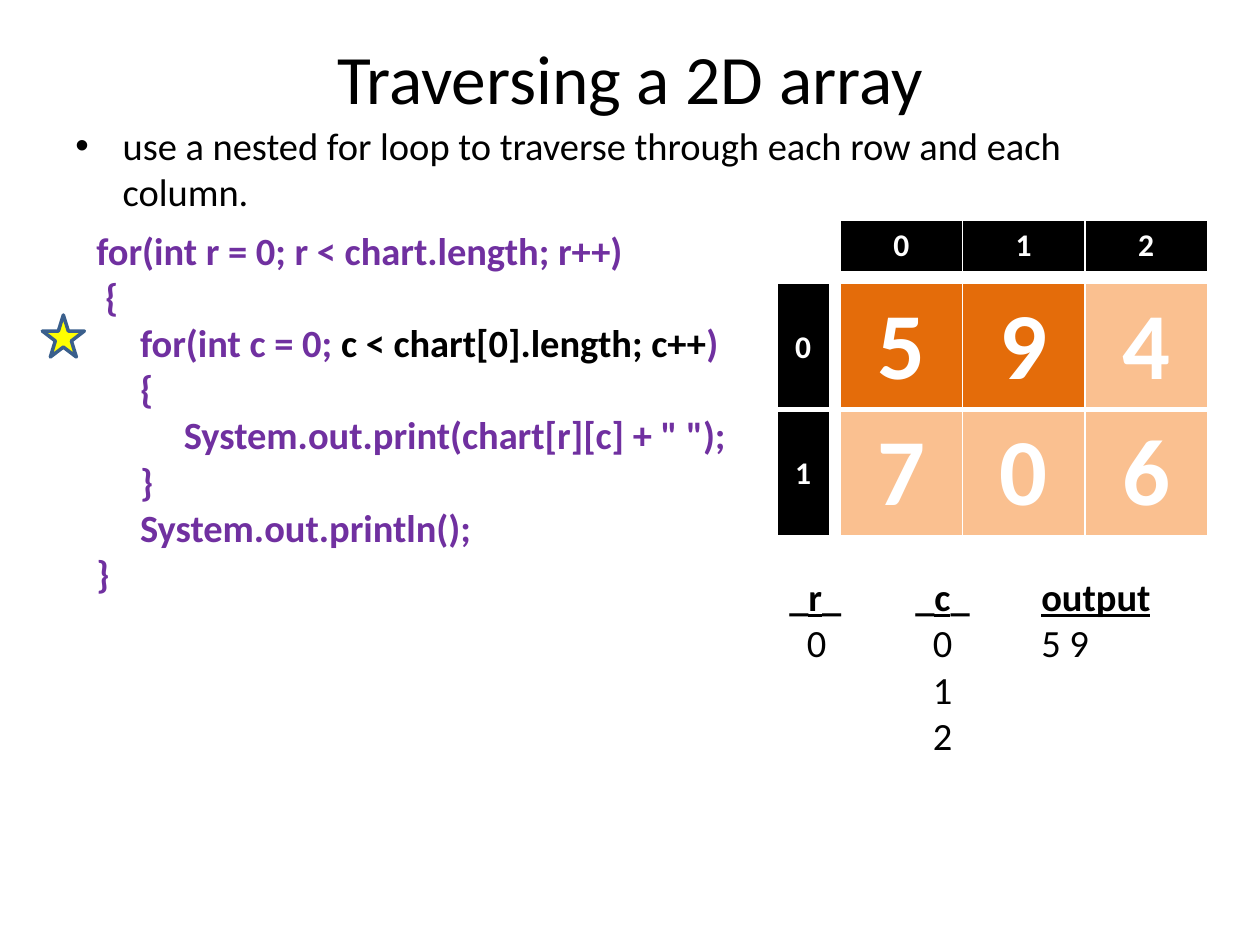
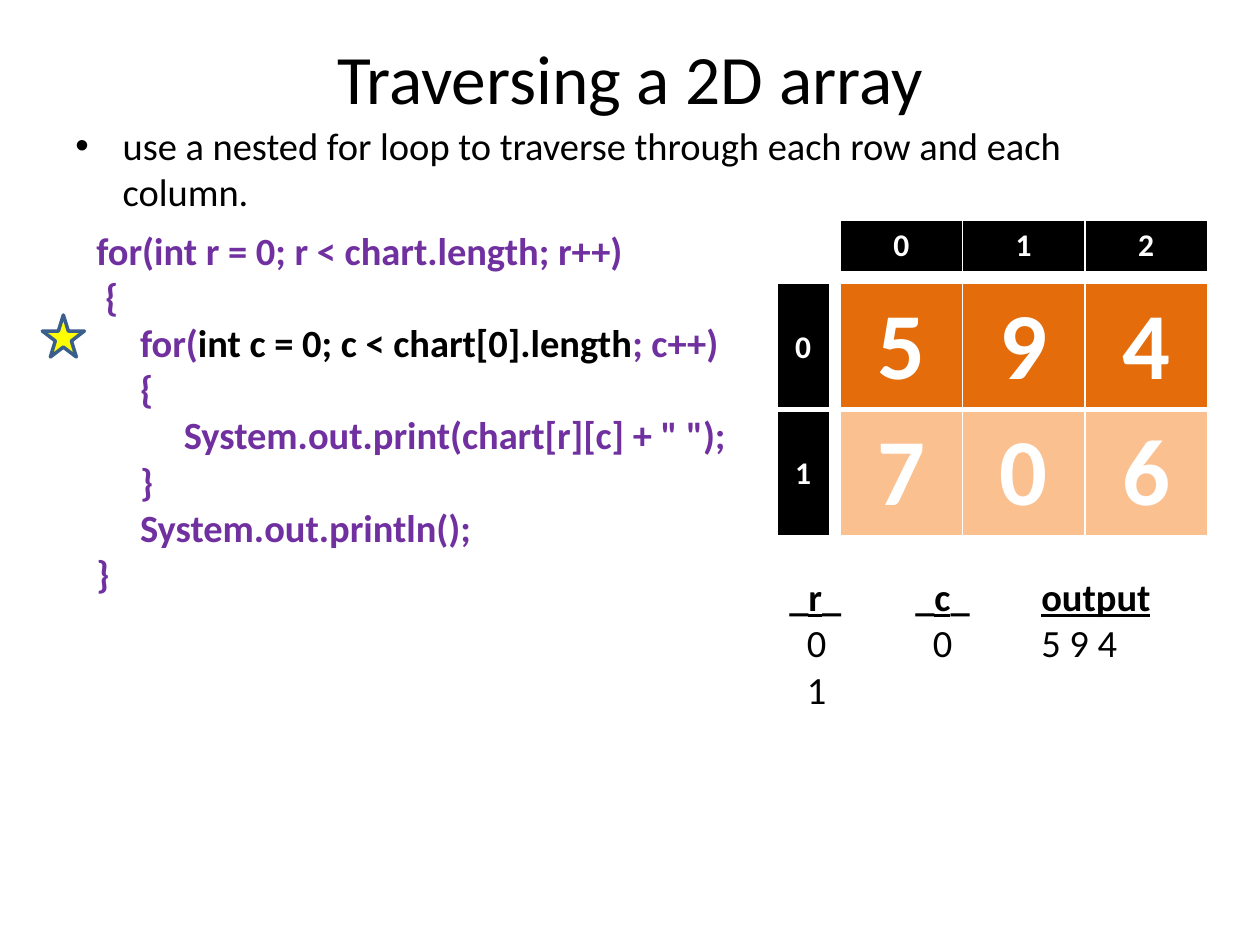
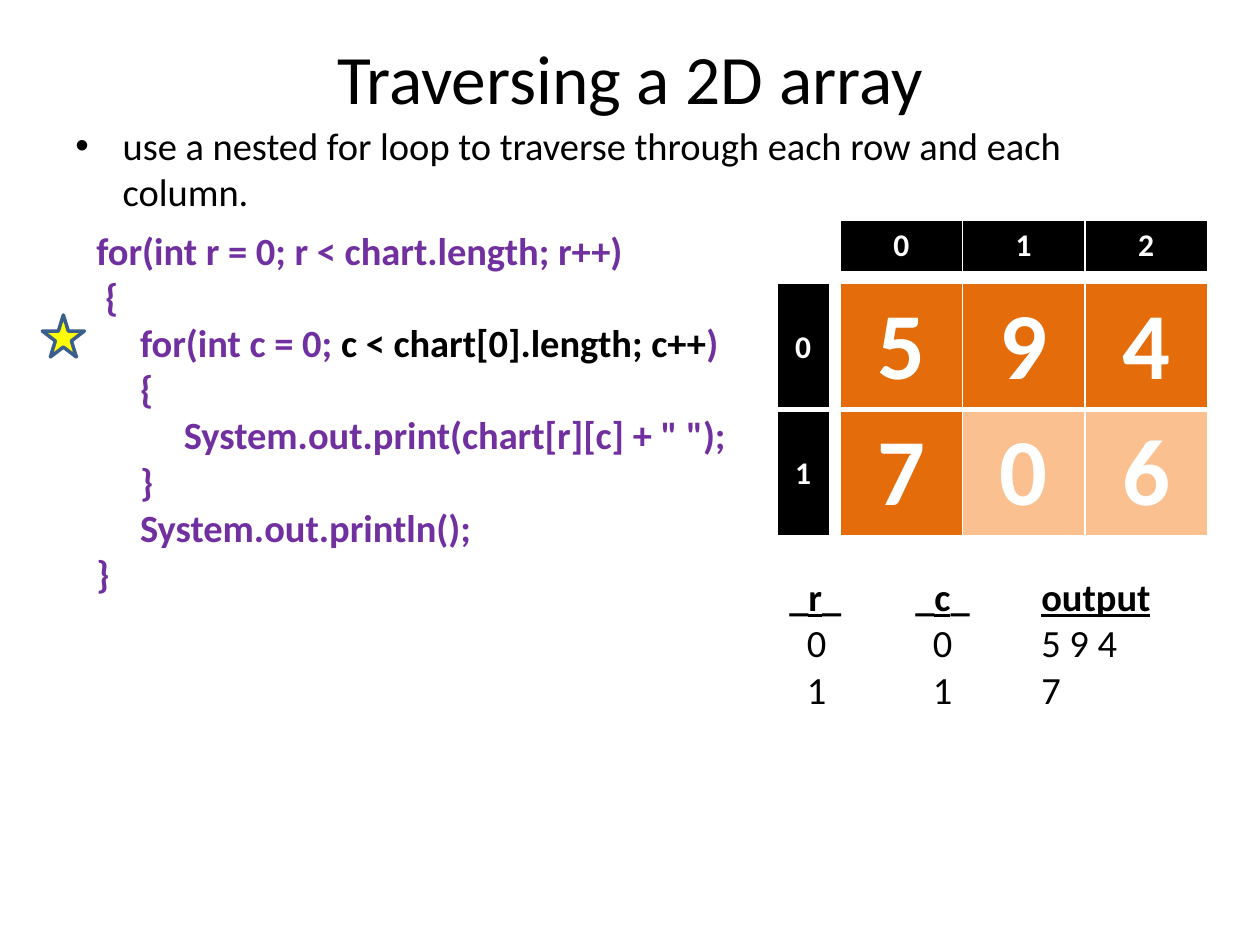
from lxml.etree import SubElement
from pptx import Presentation
from pptx.dml.color import RGBColor
from pptx.enum.shapes import MSO_SHAPE
from pptx.enum.text import MSO_ANCHOR, PP_ALIGN
from pptx.oxml import parse_xml
from pptx.oxml.ns import nsdecls, qn
from pptx.util import Pt

FONT = "Calibri"
BLACK, WHITE, PURPLE, YELLOW, NAVY = "000000", "FFFFFF", "7030A0", "FFFF00", "3A5F8C"
VISITED, UNVISITED = "E46C0A", "FAC090"

TITLE = "Traversing a 2D array"
HINT = "use a nested for loop to traverse through each row and each column."
CHART = [[5, 9, 4], [7, 0, 6]]

# Code lines as (indent, text); the inner loop is given by each step.
CODE_BEFORE = [(0, "for(int r = 0; r < chart.length; r++)"), (5, "{")]
CODE_AFTER = [
    (25, "{"),
    (50, 'System.out.print(chart[r][c] + " ");'),
    (25, "}"),
    (25, "System.out.println();"),
    (0, "}"),
]

# Inner loop parts alternate between plain and active.
TEST_AFTER_STEP = ("for(int c = 0; ", "c < chart[0].length; c++", ")")
TEST_AFTER_START = ("for(", "int c = 0; c < chart[0].length", "; c++)")
STEPS = [
    {"loop": TEST_AFTER_STEP, "visited": 2,
     "trace": [("0", "0", "5 9"), ("", "1"), ("", "2")]},
    {"loop": TEST_AFTER_START, "visited": 3,
     "trace": [("0", "0", "5 9 4"), ("1",)]},
    {"loop": TEST_AFTER_STEP, "visited": 4,
     "trace": [("0", "0", "5 9 4"), ("1", "1", "7")]},
]
# Trace header runs as (text, underlined)
TRACE_HEAD = [("_", False), ("r", True), ("_\t_", False), ("c", True),
              ("_\t", False), ("output", True)]

GRID_LEFT, GRID_TOP, COL_W, ROW_H = 480, 162, 70, 72
LABEL_SIZE, LABEL_LEFT, LABEL_TOP = 30, 444, 126


def rgb(value):
    return RGBColor.from_string(value)


def add_run(p, text, size=22, color=BLACK, **formats):
    r = p.add_run()
    r.text = text
    r.font.color.rgb = rgb(color)
    for name, value in {"name": FONT, "size": Pt(size), **formats}.items():
        setattr(r.font, name, value)


def add_box(s, left, top, width, height):
    tf = s.shapes.add_textbox(Pt(left), Pt(top), Pt(width), Pt(height)).text_frame
    tf.word_wrap = True
    return tf


def next_paragraph(tf):
    """Return the first paragraph while it is empty, then new ones."""
    p = tf.paragraphs[-1]
    return tf.add_paragraph() if p.runs else p


def set_indent(p, left, first=0):
    pPr = p._p.get_or_add_pPr()
    pPr.set("marL", str(Pt(left)))
    pPr.set("indent", str(Pt(first)))
    return pPr


def set_tabs(p, stops):
    tabs = SubElement(p._p.get_or_add_pPr(), qn("a:tabLst"))
    for stop in stops:
        SubElement(tabs, qn("a:tab"), pos=str(Pt(stop)), algn="l")


def set_borders(cell, bottom):
    tcPr = cell._tc.get_or_add_tcPr()
    for i, (side, width) in enumerate([("L", 1), ("R", 1), ("T", 1), ("B", bottom)]):
        tcPr.insert(i, parse_xml(
            f'<a:ln{side} {nsdecls("a")} w="{Pt(width)}"><a:solidFill>'
            f'<a:srgbClr val="{WHITE}"/></a:solidFill></a:ln{side}>'))


def add_grid(s, left, top, col_w, row_h, values, size, fill_of, anchor=MSO_ANCHOR.TOP):
    rows, cols = len(values), len(values[0])
    table = s.shapes.add_table(rows, cols, Pt(left), Pt(top),
                               Pt(col_w * cols), Pt(row_h * rows)).table
    table.first_row = table.horz_banding = False
    for column in table.columns:
        column.width = Pt(col_w)
    for i, row in enumerate(values):
        table.rows[i].height = Pt(row_h)
        for j, value in enumerate(row):
            cell = table.cell(i, j)
            cell.fill.solid()
            cell.fill.fore_color.rgb = rgb(fill_of(i * cols + j))
            set_borders(cell, bottom=1 if i else 3)
            cell.vertical_anchor = anchor
            cell.margin_top, cell.margin_bottom = Pt(3.6), Pt(2)
            p = cell.text_frame.paragraphs[0]
            p.alignment = PP_ALIGN.CENTER
            add_run(p, str(value), size, WHITE, bold=True)


def add_heading(s):
    tf = add_box(s, 36, 21.6, 648, 44.6)
    tf.vertical_anchor = MSO_ANCHOR.MIDDLE
    p = tf.paragraphs[0]
    p.alignment = PP_ALIGN.CENTER
    add_run(p, TITLE, 39.6)

    p = add_box(s, 36, 66.2, 648, 84).paragraphs[0]
    pPr = set_indent(p, 27, -27)
    SubElement(pPr, qn("a:buFont"), typeface="Arial")
    SubElement(pPr, qn("a:buChar"), char="•")
    add_run(p, HINT)


def add_code(s, loop):
    tf = add_box(s, 48, 126, 396, 242.6)
    lines = [(indent, (text,)) for indent, text in CODE_BEFORE]
    lines.append((25, loop))
    lines += [(indent, (text,)) for indent, text in CODE_AFTER]
    for indent, parts in lines:
        p = next_paragraph(tf)
        set_indent(p, indent)
        for i, part in enumerate(parts):
            add_run(p, part, color=BLACK if i % 2 else PURPLE, bold=True)


def add_trace(s, trace):
    tf = add_box(s, 444, 324, 252, 114)
    p = tf.paragraphs[0]
    set_tabs(p, [72, 144])
    for text, underlined in TRACE_HEAD:
        add_run(p, text, bold=True, underline=underlined)
    for row in trace:
        p = next_paragraph(tf)
        set_tabs(p, [10, 82, 144])
        add_run(p, "".join("\t" + value for value in row))


def add_star(s):
    sp = s.shapes.add_shape(MSO_SHAPE.STAR_5_POINT, Pt(24.2), Pt(180), Pt(24), Pt(24))
    sp.shadow.inherit = False
    sp.fill.solid()
    sp.fill.fore_color.rgb = rgb(YELLOW)
    sp.line.color.rgb = rgb(NAVY)
    sp.line.width = Pt(2)


def add_array(s, visited):
    add_grid(s, GRID_LEFT, LABEL_TOP, COL_W, LABEL_SIZE,
             [range(len(CHART[0]))], 18, lambda n: BLACK)
    add_grid(s, LABEL_LEFT, GRID_TOP, LABEL_SIZE, ROW_H,
             [[i] for i in range(len(CHART))], 18, lambda n: BLACK, MSO_ANCHOR.MIDDLE)
    add_grid(s, GRID_LEFT, GRID_TOP, COL_W, ROW_H, CHART, 54,
             lambda n: VISITED if n < visited else UNVISITED)


def main():
    prs = Presentation()
    prs.slide_width, prs.slide_height = Pt(720), Pt(540)
    for step in STEPS:
        s = prs.slides.add_slide(prs.slide_layouts[6])
        add_heading(s)
        add_code(s, step["loop"])
        add_trace(s, step["trace"])
        add_star(s)
        add_array(s, step["visited"])
    prs.save("out.pptx")


if __name__ == "__main__":
    main()
